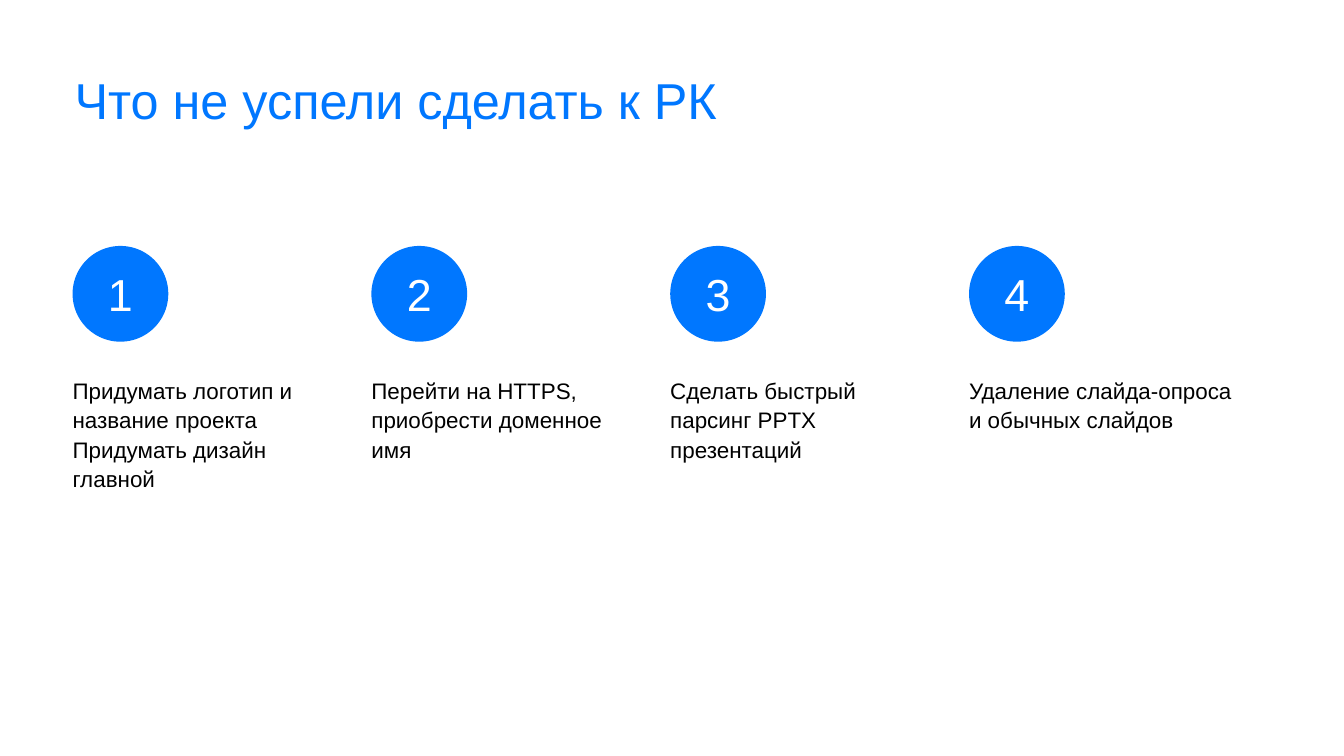
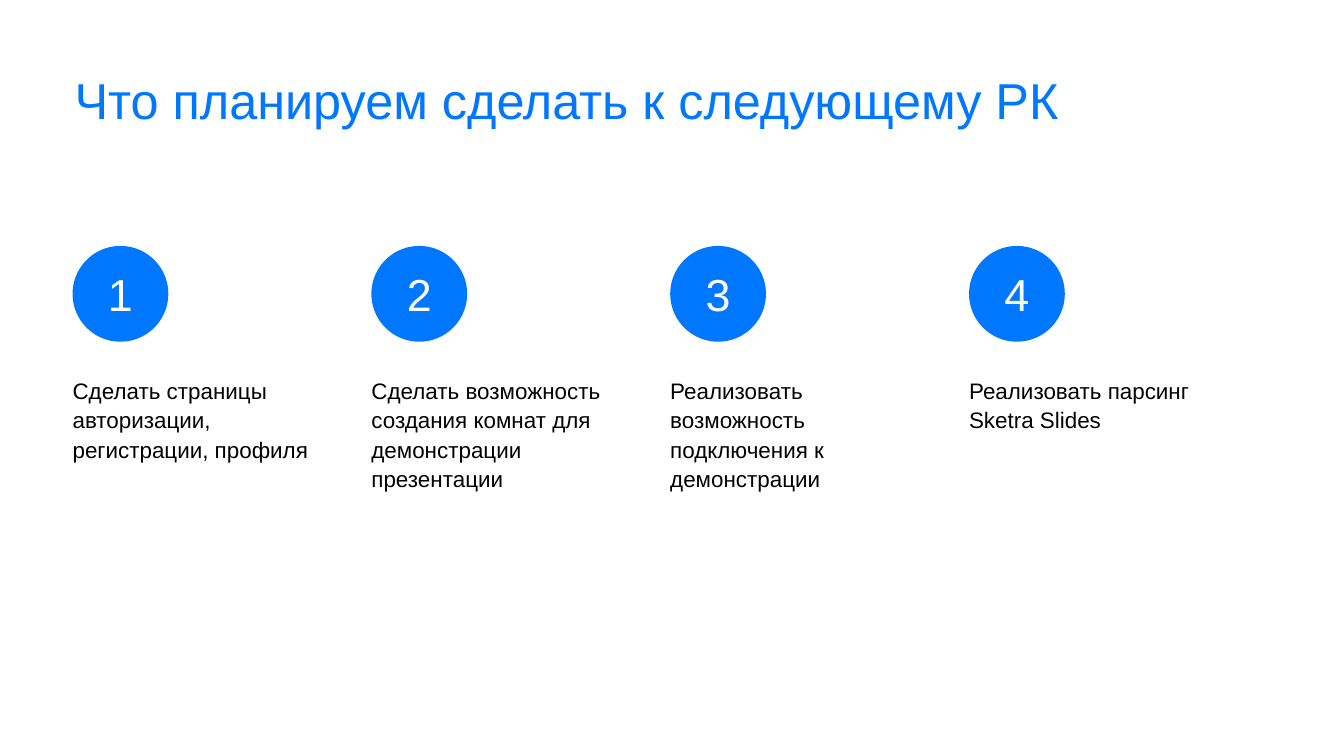
from pptx import Presentation
from pptx.dml.color import RGBColor
from pptx.enum.shapes import MSO_SHAPE
from pptx.enum.text import MSO_ANCHOR, MSO_AUTO_SIZE, PP_ALIGN
from pptx.util import Pt

OVAL = MSO_SHAPE.OVAL
TOP, MIDDLE = MSO_ANCHOR.TOP, MSO_ANCHOR.MIDDLE
LEFT, CENTER = PP_ALIGN.LEFT, PP_ALIGN.CENTER
NO_FIT = MSO_AUTO_SIZE.NONE

SLIDES = [
    ("Что не успели сделать к РК", [
        ["Придумать логотип и название проекта", "Придумать дизайн главной"],
        ["Перейти на HTTPS, приобрести доменное имя"],
        ["Сделать быстрый парсинг PPTX презентаций"],
        ["Удаление слайда-опроса и обычных слайдов"],
    ]),
    ("Что планируем сделать к следующему РК", [
        ["Сделать страницы авторизации, регистрации, профиля"],
        ["Сделать возможность создания комнат для демонстрации презентации"],
        ["Реализовать возможность подключения к демонстрации"],
        ["Реализовать парсинг Sketra Slides"],
    ]),
]

PX = 9144
WIDTH, HEIGHT = 2667, 1500
TITLE_BOX = (148, 151, 2378, 236)
COLUMN_LEFT, COLUMN_STEP, COLUMN_WIDTH = 144, 593, 547
BADGE_TOP, BADGE_SIZE = 488, 190
TASK_TOP, TASK_HEIGHT = 732, 478

FONT = "Arial"
BLUE, BLACK, WHITE = "0077FF", "000000", "FFFFFF"

TITLE = dict(size=72, color=BLUE, spacing=0.9, align=LEFT, anchor=TOP, margins=(0, 0, 0, 0))
BADGE = dict(size=64, color=WHITE, spacing=1.0, align=CENTER, anchor=MIDDLE, margins=(20, 10, 20, 10))
TASK = dict(size=32, color=BLACK, spacing=1.1, align=LEFT, anchor=TOP, margins=(0, 10, 20, 10))


def rgb(value):
    return RGBColor.from_string(value)


def emu(box):
    return [v * PX for v in box]


def set_all(target, values):
    for name, value in values.items():
        setattr(target, name, value)


def write(shape, lines, style):
    tf = shape.text_frame
    left, top, right, bottom = emu(style["margins"])
    set_all(tf, dict(word_wrap=True, auto_size=NO_FIT, vertical_anchor=style["anchor"],
                     margin_left=left, margin_top=top, margin_right=right, margin_bottom=bottom))
    for i, line in enumerate(lines):
        p = tf.add_paragraph() if i else tf.paragraphs[0]
        set_all(p, dict(alignment=style["align"], line_spacing=style["spacing"],
                        space_before=Pt(0), space_after=Pt(0)))
        r = p.add_run()
        r.text = line
        set_all(r.font, dict(name=FONT, size=Pt(style["size"]), bold=False))
        r.font.color.rgb = rgb(style["color"])


def add_title(s, text):
    sp = s.shapes.title
    left, top, width, height = emu(TITLE_BOX)
    set_all(sp, dict(left=left, top=top, width=width, height=height))
    write(sp, [text], TITLE)


def add_task(s, number, lines):
    x = COLUMN_LEFT + (number - 1) * COLUMN_STEP
    task = s.shapes.add_textbox(*emu((x, TASK_TOP, COLUMN_WIDTH, TASK_HEIGHT)))
    write(task, lines, TASK)
    badge = s.shapes.add_shape(OVAL, *emu((x, BADGE_TOP, BADGE_SIZE, BADGE_SIZE)))
    badge.shadow.inherit = False
    badge.fill.solid()
    badge.fill.fore_color.rgb = rgb(BLUE)
    badge.line.fill.background()
    write(badge, [str(number)], BADGE)


def main():
    prs = Presentation()
    prs.slide_width, prs.slide_height = emu((WIDTH, HEIGHT))
    title_only = prs.slide_layouts[5]
    for title, tasks in SLIDES:
        s = prs.slides.add_slide(title_only)
        add_title(s, title)
        for number, lines in enumerate(tasks, 1):
            add_task(s, number, lines)
    prs.save("out.pptx")


if __name__ == "__main__":
    main()
